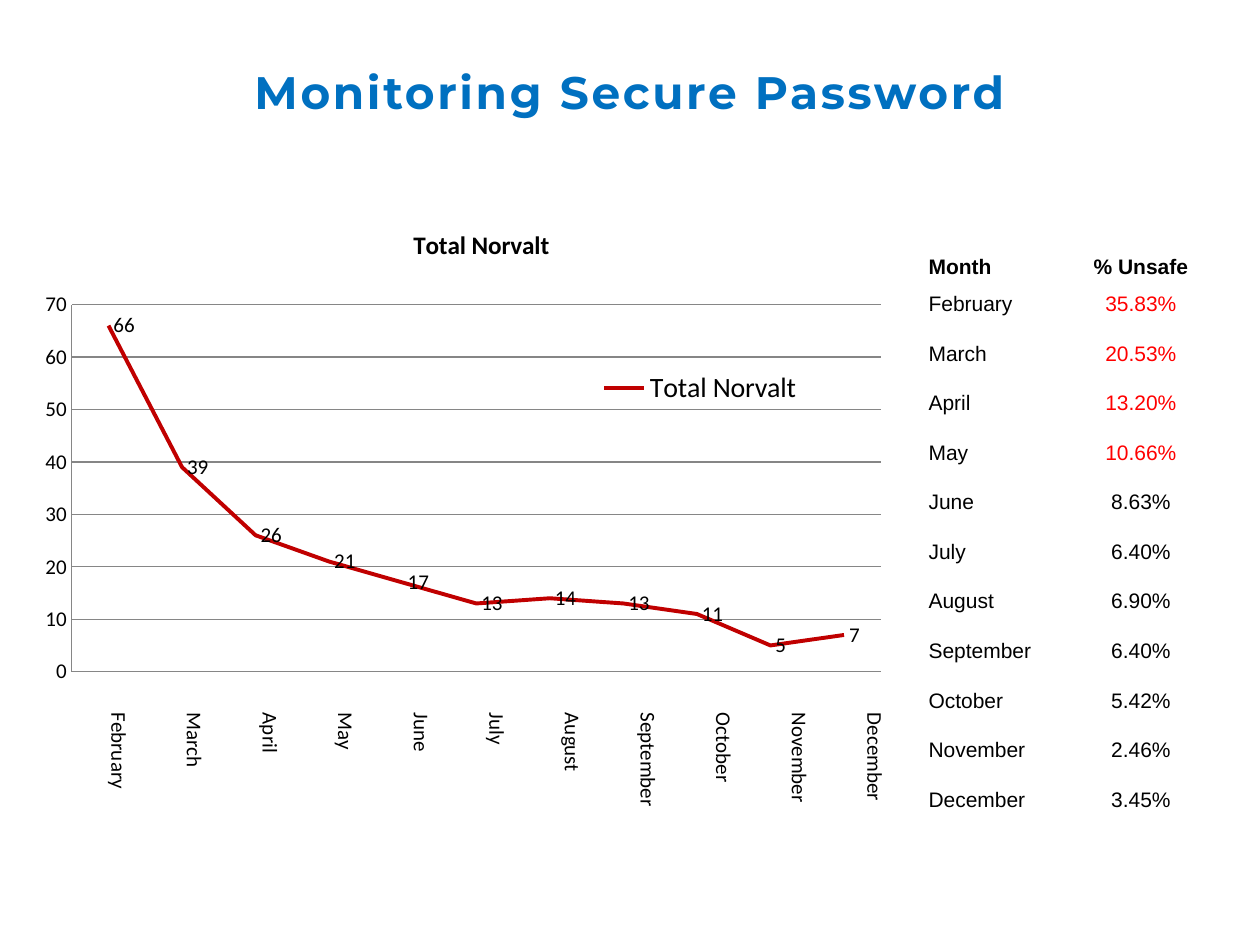
import pptx
import pptx.chart.data
import pptx.dml.color
import pptx.enum.chart
import pptx.enum.text
import pptx.oxml
import pptx.oxml.ns
import pptx.util
from pptx.util import Inches

COLORS = {"title": "0070C0", "text": "000000", "alert": "FF0000",
          "series": "C00000", "grid": "868686", "border": "FFFFFF"}
ALIGN = pptx.enum.text.PP_ALIGN
ANCHOR = pptx.enum.text.MSO_ANCHOR
ALERT_LEVEL = 10
RECORDS = [
    ("February", 66, 35.83), ("March", 39, 20.53), ("April", 26, 13.20),
    ("May", 21, 10.66), ("June", 17, 8.63), ("July", 13, 6.40),
    ("August", 14, 6.90), ("September", 13, 6.40), ("October", 11, 5.42),
    ("November", 5, 2.46), ("December", 7, 3.45),
]


def rgb(name):
    """Return the named colour."""
    return pptx.dml.color.RGBColor.from_string(COLORS[name])


def set_font(font, size, name="Calibri", color="text", bold=False):
    """Format a font."""
    font.size = pptx.util.Pt(size)
    font.name = name
    font.bold = bold
    font.color.rgb = rgb(color)


def write(p, text, align=ALIGN.LEFT, spacing=None, **fmt):
    """Add a formatted run of text to a paragraph."""
    p.alignment = align
    r = p.add_run()
    r.text = text
    set_font(r.font, **fmt)
    if spacing:
        r.font._element.set("spc", str(spacing))


def set_layout(parent, index, x, y, w, h, inner=False):
    """Give a chart part a manual layout in fractions of the chart."""
    old = parent.find(pptx.oxml.ns.qn("c:layout"))
    if old is not None:
        parent.remove(old)
    target = '<c:layoutTarget val="inner"/>' if inner else ""
    parent.insert(index, pptx.oxml.parse_xml(
        f'<c:layout {pptx.oxml.ns.nsdecls("c")}><c:manualLayout>{target}'
        '<c:xMode val="edge"/><c:yMode val="edge"/>'
        f'<c:x val="{x}"/><c:y val="{y}"/><c:w val="{w}"/><c:h val="{h}"/>'
        '</c:manualLayout></c:layout>'))


class SlideBuilder:
    """Hold the style and the current slide."""

    text_size = 12
    table_font = "Arial"

    def __init__(self, prs):
        """Start a title-only slide."""
        self.s = prs.slides.add_slide(prs.slide_layouts[5])

    def title(self, text, x, y, w, h):
        """Place and fill the title."""
        sp = self.s.shapes.title
        sp.left, sp.top, sp.width, sp.height = map(Inches, (x, y, w, h))
        tf = sp.text_frame
        tf.auto_size = pptx.enum.text.MSO_AUTO_SIZE.NONE
        tf.vertical_anchor = ANCHOR.TOP
        write(tf.paragraphs[0], text, align=ALIGN.CENTER, spacing=150,
              size=26, name="Montserrat", color="title", bold=True)

    def cell(self, cell, text, **fmt):
        """Fill a table cell and set its borders."""
        cell.margin_left = cell.margin_right = cell.margin_top = Inches(0.01)
        cell.margin_bottom = 0
        tcPr = cell._tc.get_or_add_tcPr()
        for side in "LRTB":
            tcPr.append(pptx.oxml.parse_xml(
                f'<a:ln{side} {pptx.oxml.ns.nsdecls("a")} w="12700"><a:solidFill>'
                f'<a:srgbClr val="{COLORS["border"]}"/></a:solidFill></a:ln{side}>'))
        cell.fill.background()
        write(cell.text_frame.paragraphs[0], text, size=self.text_size,
              name=self.table_font, **fmt)

    def table(self, header, records, x, y, widths, h):
        """Add the table of unsafe shares by month."""
        rows = [header] + [(month, f"{share:.2f}%") for month, _, share in records]
        table = self.s.shapes.add_table(
            len(rows), len(widths), Inches(x), Inches(y),
            Inches(sum(widths)), Inches(h)).table
        table.first_row = table.horz_banding = False
        for column, width in zip(table.columns, widths):
            column.width = Inches(width)
        for i, row in enumerate(rows):
            alert = i > 0 and records[i - 1][2] >= ALERT_LEVEL
            for j, text in enumerate(row):
                cell = table.cell(i, j)
                cell.vertical_anchor = ANCHOR.MIDDLE if i else ANCHOR.BOTTOM
                self.cell(cell, text, bold=i == 0,
                          align=ALIGN.CENTER if j else ALIGN.LEFT,
                          color="alert" if alert and j else "text")

    def chart(self, name, values, x, y, w, h):
        """Add the line chart of totals."""
        data = pptx.chart.data.CategoryChartData()
        data.categories = [str(i + 1) for i in range(len(values))]
        data.add_series(name, values)
        chart = self.s.shapes.add_chart(
            pptx.enum.chart.XL_CHART_TYPE.LINE, Inches(x), Inches(y),
            Inches(w), Inches(h), data).chart
        set_font(chart.font, self.text_size)
        chart.has_title = True
        write(chart.chart_title.text_frame.paragraphs[0], name,
              align=ALIGN.CENTER, size=14.4, bold=True)
        chart.has_legend = True
        chart.legend.position = pptx.enum.chart.XL_LEGEND_POSITION.RIGHT
        chart.legend.include_in_layout = False
        set_font(chart.legend.font, 16)
        set_layout(chart.legend._element, 1, 0.61, 0.24, 0.26, 0.09)
        set_layout(chart._chartSpace.chart.plotArea, 0,
                   0.051, 0.156, 0.887, 0.569, inner=True)
        chart.category_axis.visible = False
        axis = chart.value_axis
        axis.minimum_scale, axis.maximum_scale, axis.major_unit = 0, 70, 10
        axis.major_tick_mark = pptx.enum.chart.XL_TICK_MARK.NONE
        axis.has_major_gridlines = True
        for line in (axis.format.line, axis.major_gridlines.format.line):
            line.color.rgb = rgb("grid")
            line.width = pptx.util.Pt(0.75)
        plot = chart.plots[0]
        plot.vary_by_categories = False
        series = plot.series[0]
        series.smooth = False
        series.marker.style = pptx.enum.chart.XL_MARKER_STYLE.NONE
        series.format.line.color.rgb = rgb("series")
        series.format.line.width = pptx.util.Pt(2.25)
        labels = series.data_labels
        labels.show_value = True
        labels.position = pptx.enum.chart.XL_LABEL_POSITION.RIGHT
        set_font(labels.font, self.text_size)

    def vertical_labels(self, labels, x, y, w, h):
        """Add labels turned a quarter, running from right to left."""
        sp = self.s.shapes.add_textbox(*map(Inches, (x, y, w, h)))
        tf = sp.text_frame
        tf.word_wrap = True
        tf._txBody.bodyPr.set("vert", "vert")
        for i, text in enumerate(labels):
            p = tf.add_paragraph() if i else tf.paragraphs[0]
            p.line_spacing = 1.5
            if i:
                p.space_before = pptx.util.Pt(21.6)
            write(p, text, size=self.text_size)


def main():
    """Build and save the slide."""
    prs = pptx.Presentation()
    prs.slide_width, prs.slide_height = Inches(10), Inches(7.5)
    slide = SlideBuilder(prs)
    slide.title("Monitoring Secure Password", 0, 0.46, 10, 0.54)
    slide.table(("Month", "% Unsafe"), RECORDS, 7.36, 1.82, (0.91, 1.57), 4.72)
    slide.chart("Total Norvalt", [total for _, total, _ in RECORDS],
                0.2, 1.62, 7.24, 5.12)
    slide.vertical_labels([month for month, _, _ in reversed(RECORDS)],
                          0.67, 5.56, 6.53, 1.26)
    prs.save("out.pptx")


if __name__ == "__main__":
    main()
